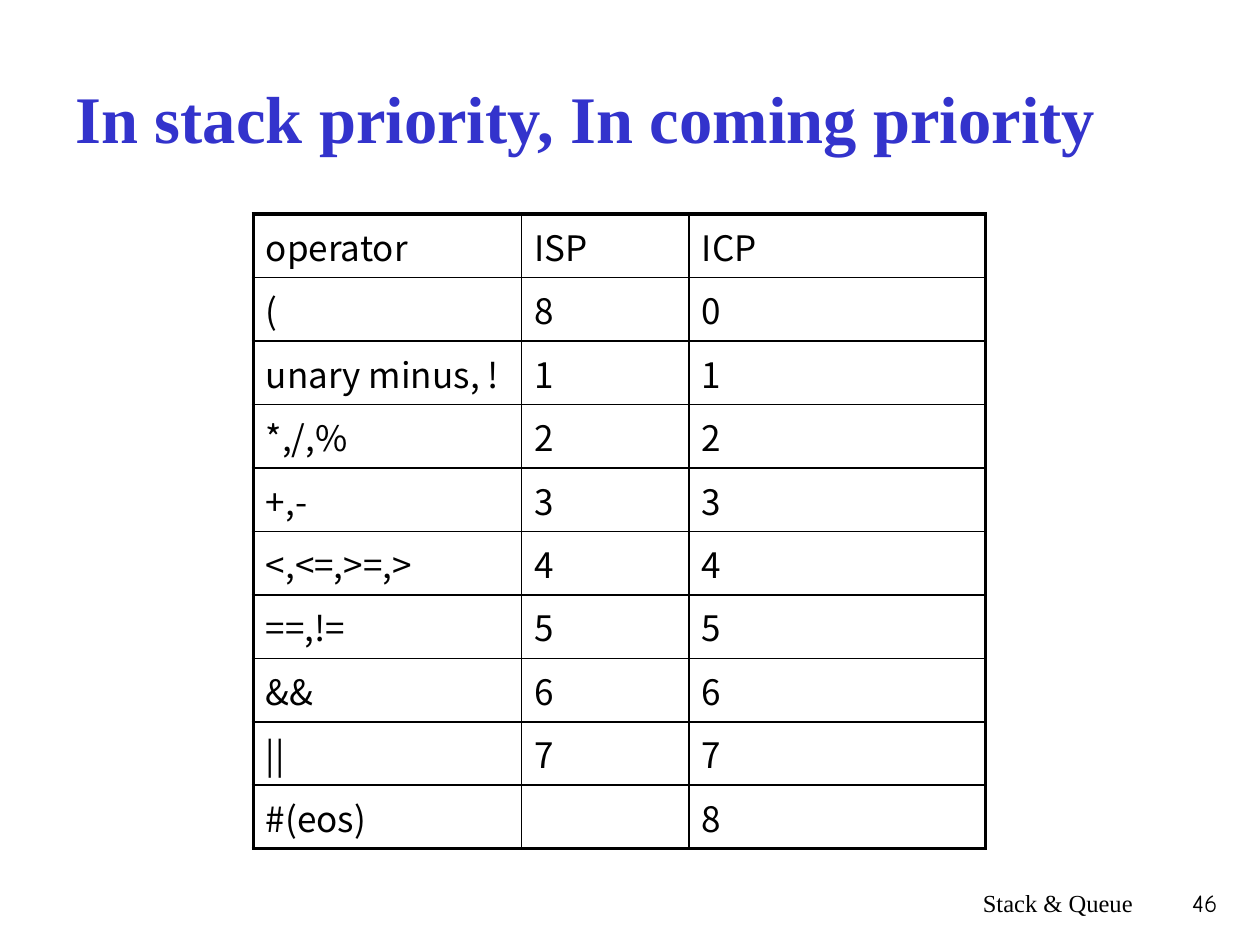
"""Build the slide that lists in-stack and incoming operator priorities."""
from typing import NamedTuple

from lxml.etree import SubElement
from pptx import Presentation
from pptx.dml.color import RGBColor
from pptx.enum.text import MSO_ANCHOR as Anchor, PP_ALIGN as Align
from pptx.oxml.ns import qn
from pptx.util import Inches, Pt

BLUE = RGBColor(0x33, 0x33, 0xCC)
BLACK = RGBColor(0, 0, 0)
SERIF = "Times New Roman"
SANS = "Noto Sans CJK KR"
THICK, THIN = 2.25, 1
ROW_HEIGHT = 0.5
COLUMN_WIDTHS = (2.13, 1.33, 2.35)


class Style(NamedTuple):
    font: str
    size: float
    color: RGBColor = BLACK
    bold: bool = False


class Label(NamedTuple):
    text: str
    left: float
    top: float
    width: float
    height: float
    style: Style
    align: Align = Align.RIGHT
    anchor: Anchor = Anchor.TOP


class Priority(NamedTuple):
    operator: str
    isp: str
    icp: str


LABELS = (
    Label("In stack priority, In coming priority", 0.5, 0.3, 9, 1.25,
          Style(SERIF, 38, BLUE, True), Align.LEFT, Anchor.MIDDLE),
    Label("Stack & Queue", 5.92, 7, 3.17, 0.5, Style(SERIF, 14)),
    Label("46", 8.91, 7, 0.85, 0.5, Style("Comic Neue", 14)),
)

PRIORITIES = (
    Priority("operator", "ISP", "ICP"),
    Priority("(", "8", "0"),
    Priority("unary minus, !", "1", "1"),
    Priority("*,/,%", "2", "2"),
    Priority("+,-", "3", "3"),
    Priority("<,<=,>=,>", "4", "4"),
    Priority("==,!=", "5", "5"),
    Priority("&&", "6", "6"),
    Priority("||", "7", "7"),
    Priority("#(eos)", "", "8"),
)


def write(frame, text: str, style: Style, align: Align = Align.LEFT) -> None:
    frame.text = text
    paragraph = frame.paragraphs[0]
    paragraph.alignment = align
    for font in [paragraph.font] + [run.font for run in paragraph.runs]:
        font.name = style.font
        font.size = Pt(style.size)
        font.bold = style.bold
        font.color.rgb = style.color


def add_label(slide, label: Label) -> None:
    box = slide.shapes.add_textbox(Inches(label.left), Inches(label.top),
                                   Inches(label.width), Inches(label.height))
    frame = box.text_frame
    frame.word_wrap = True
    frame.vertical_anchor = label.anchor
    write(frame, label.text, label.style, label.align)


def add_border(cell, side: str, points: float) -> None:
    line = SubElement(cell._tc.get_or_add_tcPr(), qn(f"a:ln{side}"), w=str(Pt(points)))
    fill = SubElement(line, qn("a:solidFill"))
    SubElement(fill, qn("a:srgbClr"), val=str(BLACK))


def add_priorities(slide, left: float, top: float) -> None:
    last_row, last_column = len(PRIORITIES) - 1, len(COLUMN_WIDTHS) - 1
    table = slide.shapes.add_table(
        len(PRIORITIES), len(COLUMN_WIDTHS), Inches(left), Inches(top),
        Inches(sum(COLUMN_WIDTHS)), Inches(ROW_HEIGHT * len(PRIORITIES))).table
    table.first_row = table.horz_banding = False
    for column, width in zip(table.columns, COLUMN_WIDTHS):
        column.width = Inches(width)
    for r, priority in enumerate(PRIORITIES):
        for c, value in enumerate(priority):
            cell = table.cell(r, c)
            write(cell.text_frame, value, Style(SANS, 20))
            outer = {"L": c == 0, "R": c == last_column, "T": r == 0, "B": r == last_row}
            for side, is_outer in outer.items():
                add_border(cell, side, THICK if is_outer else THIN)
            cell.fill.background()


def main() -> None:
    deck = Presentation()
    deck.slide_width, deck.slide_height = Inches(10), Inches(7.5)
    slide = deck.slides.add_slide(deck.slide_layouts[6])
    add_priorities(slide, 2.01, 1.7)
    for label in LABELS:
        add_label(slide, label)
    deck.save("out.pptx")


if __name__ == "__main__":
    main()
